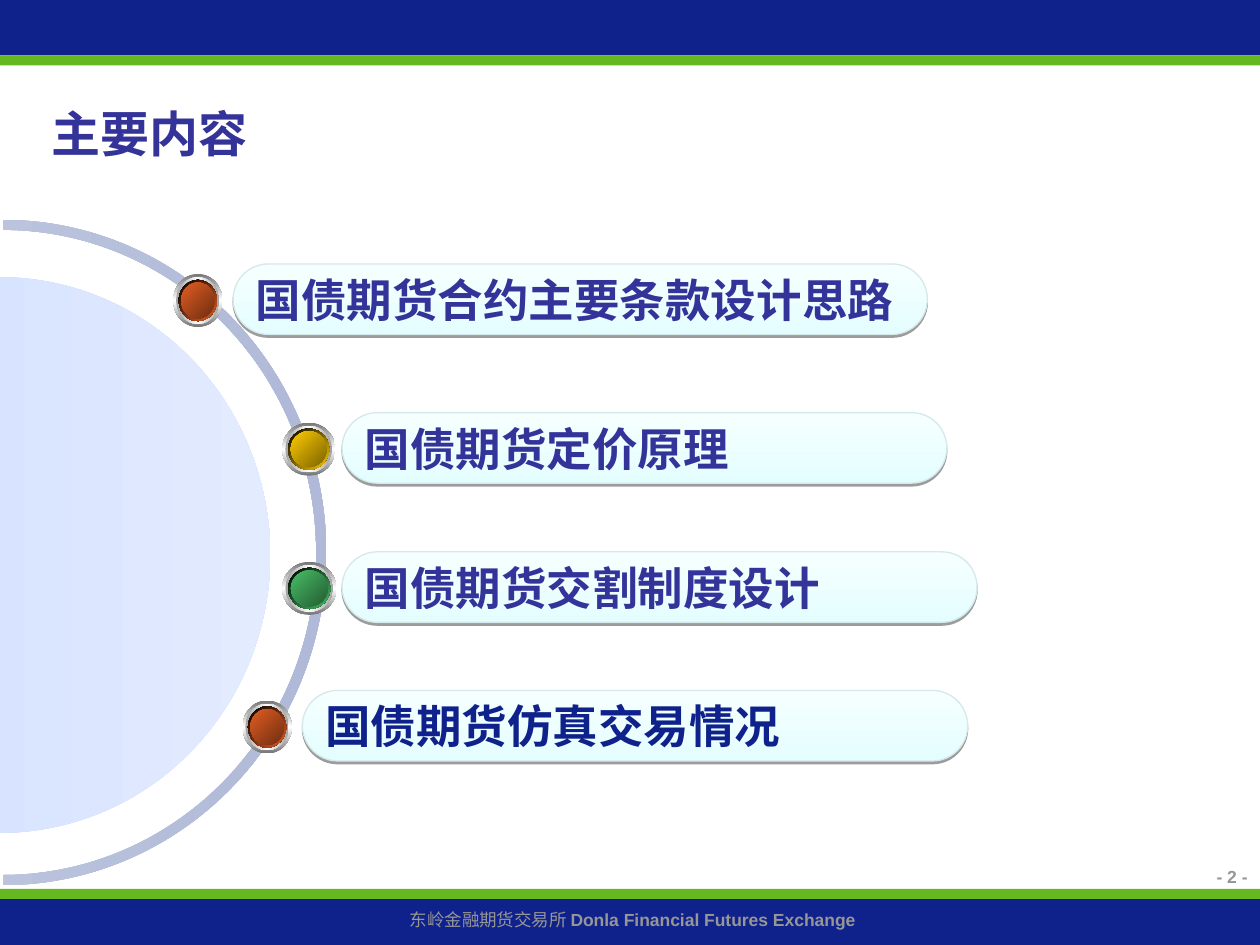
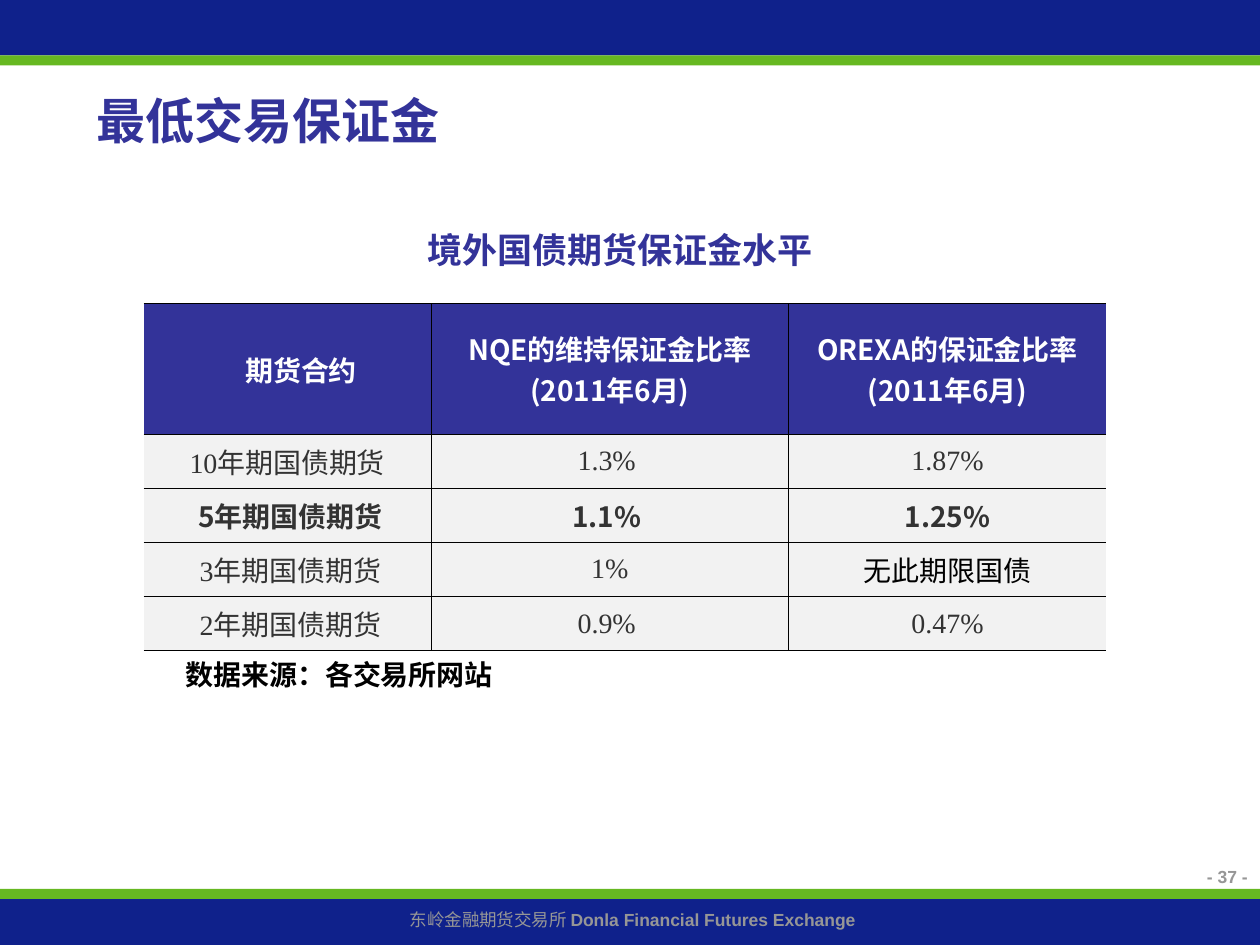
import pptx
import pptx.dml.color
import pptx.enum.shapes
import pptx.enum.text
import pptx.oxml
import pptx.oxml.ns
import pptx.util
from lxml import etree

# Grid: 100 columns by 75 rows; every box is (column, row, columns, rows)
COLS, ROWS = 100, 75
SLIDE_W, SLIDE_H = pptx.util.Inches(10), pptx.util.Inches(7.5)

NAVY, GREEN, INDIGO = "0F218B", "66B821", "333399"
GREY, DARK, PALE = "969696", "333333", "F2F2F2"
WHITE, BLACK = "FFFFFF", "000000"
SANS, SERIF, LATIN = "Noto Sans CJK SC", "Times New Roman", "Arial"

SHAPE = pptx.enum.shapes.MSO_SHAPE
ALIGN = pptx.enum.text.PP_ALIGN
ANCHOR = pptx.enum.text.MSO_ANCHOR
qn = pptx.oxml.ns.qn


# ---- helpers ----
def color(hex_code):
    return pptx.dml.color.RGBColor.from_string(hex_code)


def emu(box):
    x, y, w, h = box
    return [round(v) for v in (x * SLIDE_W / COLS, y * SLIDE_H / ROWS,
                               w * SLIDE_W / COLS, h * SLIDE_H / ROWS)]


def add_solid(parent, tag, hex_code):
    el = etree.SubElement(parent, qn(tag))
    el.set("val", str(color(hex_code)))
    return el


def gradient(sp, angle, *stops):
    """Spread the colours evenly; the angle runs clockwise."""
    sp.fill.gradient()
    grad = sp._element.spPr.find(qn("a:gradFill"))
    gs_list = grad.find(qn("a:gsLst"))
    for gs in list(gs_list):
        gs_list.remove(gs)
    for i, stop in enumerate(stops):
        gs = etree.SubElement(gs_list, qn("a:gs"))
        gs.set("pos", str(round(100000 * i / (len(stops) - 1))))
        add_solid(gs, "a:srgbClr", stop)
    grad.find(qn("a:lin")).set("ang", str(angle * 60000))


def add_shape(shapes, kind, box):
    sp = shapes.add_shape(kind, *emu(box))
    sp.shadow.inherit = False
    sp.line.fill.background()
    return sp


def format_run(r, size, hex_code, font=SANS, bold=True):
    r.font.size = pptx.util.Pt(size)
    r.font.bold = bold
    r.font.color.rgb = color(hex_code)
    r.font.name = font
    etree.SubElement(r.font._element, qn("a:ea")).set("typeface", SANS)


def set_text(tf, text, size, hex_code, font=SANS, bold=True,
             align=ALIGN.LEFT, anchor=ANCHOR.TOP):
    tf.text = text
    tf.vertical_anchor = anchor
    for p in tf.paragraphs:
        p.alignment = align
        for r in p.runs:
            format_run(r, size, hex_code, font, bold)


def add_text(s, box, text, size, hex_code, **style):
    tf = s.shapes.add_textbox(*emu(box)).text_frame
    tf.word_wrap = True
    set_text(tf, text, size, hex_code, **style)
    return tf


def set_title(s, box, text, size, align=ALIGN.LEFT):
    title = s.shapes.title
    title.left, title.top, title.width, title.height = emu(box)
    title.text_frame.auto_size = pptx.enum.text.MSO_AUTO_SIZE.NONE
    set_text(title.text_frame, text, size, INDIGO, align=align,
             anchor=ANCHOR.MIDDLE)


# ---- frame shared by all slides ----
def add_framed_slide(prs, number):
    s = prs.slides.add_slide(prs.slide_layouts[5])
    for top, height, fill in ((0, 4.4, NAVY), (70.55, 0.8, GREEN),
                              (4.4, 0.8, GREEN), (71.35, 3.65, NAVY)):
        band = add_shape(s.shapes, SHAPE.RECTANGLE, (0, top, COLS, height))
        band.fill.solid()
        band.fill.fore_color.rgb = color(fill)
    # Footer in two runs, the second one bold
    tf = add_text(s, (0.8, 71.65, 98.8, 2.7), "东岭金融期货交易所 ", 10, GREY,
                  font=LATIN, bold=False, align=ALIGN.CENTER)
    r = tf.paragraphs[0].add_run()
    r.text = "Donla Financial Futures Exchange"
    format_run(r, 10, GREY, LATIN)
    # Page number
    add_text(s, (80.3, 68.25, 19.7, 3.6), f"- {number} -", 10, GREY,
             font=LATIN, align=ALIGN.RIGHT)
    return s


# ---- contents slide ----
def add_right_half(s, kind, box, *stops):
    """Keep the clockwise part of a round shape from top to bottom."""
    sp = add_shape(s.shapes, kind, box)
    for i, degrees in enumerate((270, 90)):
        sp.adjustments[i] = degrees * 0.6
    gradient(sp, 0, *stops)
    return sp


def add_arc(s, ring_box, disc_box, band=0.8):
    ring = add_right_half(s, SHAPE.BLOCK_ARC, ring_box, "C5CDE2", "B0BAD8")
    ring.adjustments[2] = band / min(ring_box[2:])
    add_right_half(s, SHAPE.CHORD, disc_box, "CDDBFE", "E3EBFF")


def add_bead(s, box, light, deep):
    x, y, w, h = box
    group = s.shapes.add_group_shape()
    # Inset as a share of the bead, gradient angle, colours
    layers = ((0, 90, "767676", WHITE, "767676"),
              (0.06, 0, "A2A2A2", WHITE, "A2A2A2"),
              (0.11, 45, BLACK, light),
              (0.16, 45, light, deep))
    for inset, angle, *stops in layers:
        sp = add_shape(group.shapes, SHAPE.OVAL,
                       (x + inset * w, y + inset * h,
                        w * (1 - 2 * inset), h * (1 - 2 * inset)))
        gradient(sp, angle, *stops)


def add_pill(s, box, text, hex_code, font):
    sp = add_shape(s.shapes, SHAPE.ROUNDED_RECTANGLE, box)
    sp.adjustments[0] = 0.5
    gradient(sp, 270, "E4FEFF", "F6FFFF")
    sp.line.color.rgb = color("D5E8EA")
    sp.line.width = pptx.util.Pt(0.75)
    # Thin shadow straight below
    effects = sp._element.spPr.find(qn("a:effectLst"))
    shadow = etree.SubElement(effects, qn("a:outerShdw"))
    shadow.set("dist", str(pptx.util.Pt(1.6)))
    shadow.set("dir", "5400000")
    shadow.set("rotWithShape", "0")
    alpha = etree.SubElement(add_solid(shadow, "a:srgbClr", BLACK),
                             qn("a:alpha"))
    alpha.set("val", "38000")
    sp.text_frame.word_wrap = False
    set_text(sp.text_frame, text, 26, hex_code, font, anchor=ANCHOR.MIDDLE)


def build_contents(prs):
    s = add_framed_slide(prs, 2)
    set_title(s, (3.1, 7, 92.2, 7.1), "主要内容", 28)
    add_arc(s, (-25.4, 17.45, 51.3, 52.8), (-21.5, 22, 42.95, 44.1))
    orange, yellow, green = (("E35E23", "6E2E11"), ("FFCC00", "7C6300"),
                             ("48BE67", "235C32"))
    # Left, top and width of the pill, bead width and colours, text
    topics = (
        (18.5, 20.95, 55.1, 3.9, orange, "国债期货合约主要条款设计思路", INDIGO, SERIF),
        (27.15, 32.75, 48, 4.2, yellow, "国债期货定价原理", INDIGO, SERIF),
        (27.15, 43.8, 50.4, 4.3, green, "国债期货交割制度设计", INDIGO, SERIF),
        (24, 54.8, 52.8, 3.9, orange, "国债期货仿真交易情况", NAVY, SANS),
    )
    for x, y, w, bead_w, bead_colors, text, hex_code, font in topics:
        add_pill(s, (x, y, w, 5.6), text, hex_code, font)
        add_bead(s, (x - 4.75, y + 0.8, bead_w, 4.2), *bead_colors)


# ---- margin table slide ----
def set_borders(cell, **widths):
    """Widths in points, keyed L, R, T, B in that order."""
    tc_pr = cell._tc.get_or_add_tcPr()
    for side, width in widths.items():
        ln = etree.SubElement(tc_pr, qn(f"a:ln{side}"))
        ln.set("w", str(pptx.util.Pt(width)))
        if width:
            add_solid(etree.SubElement(ln, qn("a:solidFill")),
                      "a:srgbClr", BLACK)
        else:
            etree.SubElement(ln, qn("a:noFill"))


def add_margin_table(s, box, rows, col_widths, row_heights, strong_row):
    last_row, last_col = len(rows) - 1, len(col_widths) - 1
    table = s.shapes.add_table(len(rows), len(col_widths), *emu(box)).table
    table.first_row = table.horz_banding = False
    for col, width in zip(table.columns, col_widths):
        col.width = round(width * SLIDE_W / COLS)
    for row, height in zip(table.rows, row_heights):
        row.height = round(height * SLIDE_H / ROWS)
    for i, texts in enumerate(rows):
        head, strong = i == 0, i in (0, strong_row)
        for j, text in enumerate(texts):
            cell = table.cell(i, j)
            set_borders(cell, L=0.45 if j else 0,
                        R=0.45 if j < last_col else 0,
                        T=0.75 if head else 0.45,
                        B=1 if i == last_row else 0.45)
            cell.fill.solid()
            cell.fill.fore_color.rgb = color(INDIGO if head else PALE)
            cell.margin_left = cell.margin_right = pptx.util.Inches(0.07)
            cell.vertical_anchor = ANCHOR.MIDDLE
            ink = WHITE if head else BLACK if text.startswith("无") else DARK
            set_text(cell.text_frame, text, 16, ink,
                     SANS if strong else SERIF, strong,
                     ALIGN.CENTER, ANCHOR.MIDDLE)
    # Optical centring: wider margins nudge some cells sideways
    table.cell(0, 0).margin_left = pptx.util.Inches(0.29)
    for i in range(2, len(rows)):
        table.cell(i, 0).margin_left = pptx.util.Inches(0.12)
    for i in (1, 2, 4):
        table.cell(i, 1).margin_right = pptx.util.Inches(0.12)


def build_margins(prs):
    s = add_framed_slide(prs, 37)
    set_title(s, (9.8, 16.25, 78.8, 7.1), "境外国债期货保证金水平", 20,
              ALIGN.CENTER)
    rows = (
        ("期货合约", "NQE的维持保证金比率\n(2011年6月)",
         "OREXA的保证金比率\n(2011年6月)"),
        ("10年期国债期货", "1.3%", "1.87%"),
        ("5年期国债期货", "1.1%", "1.25%"),
        ("3年期国债期货", "1%", "无此期限国债"),
        ("2年期国债期货", "0.9%", "0.47%"),
    )
    add_margin_table(s, (11.4, 24.1, 76.4, 27.55), rows, (22.8, 28.4, 25.2),
                     (10.35,) + (4.3,) * 4, strong_row=2)
    add_text(s, (13.75, 51.7, 26.8, 6.4), "数据来源：各交易所网站", 16, BLACK)
    add_text(s, (6.7, 6, 70.1, 7.1), "最低交易保证金", 28, INDIGO,
             anchor=ANCHOR.MIDDLE)


def main():
    prs = pptx.Presentation()
    prs.slide_width, prs.slide_height = SLIDE_W, SLIDE_H
    build_contents(prs)
    build_margins(prs)
    prs.save("out.pptx")


if __name__ == "__main__":
    main()
